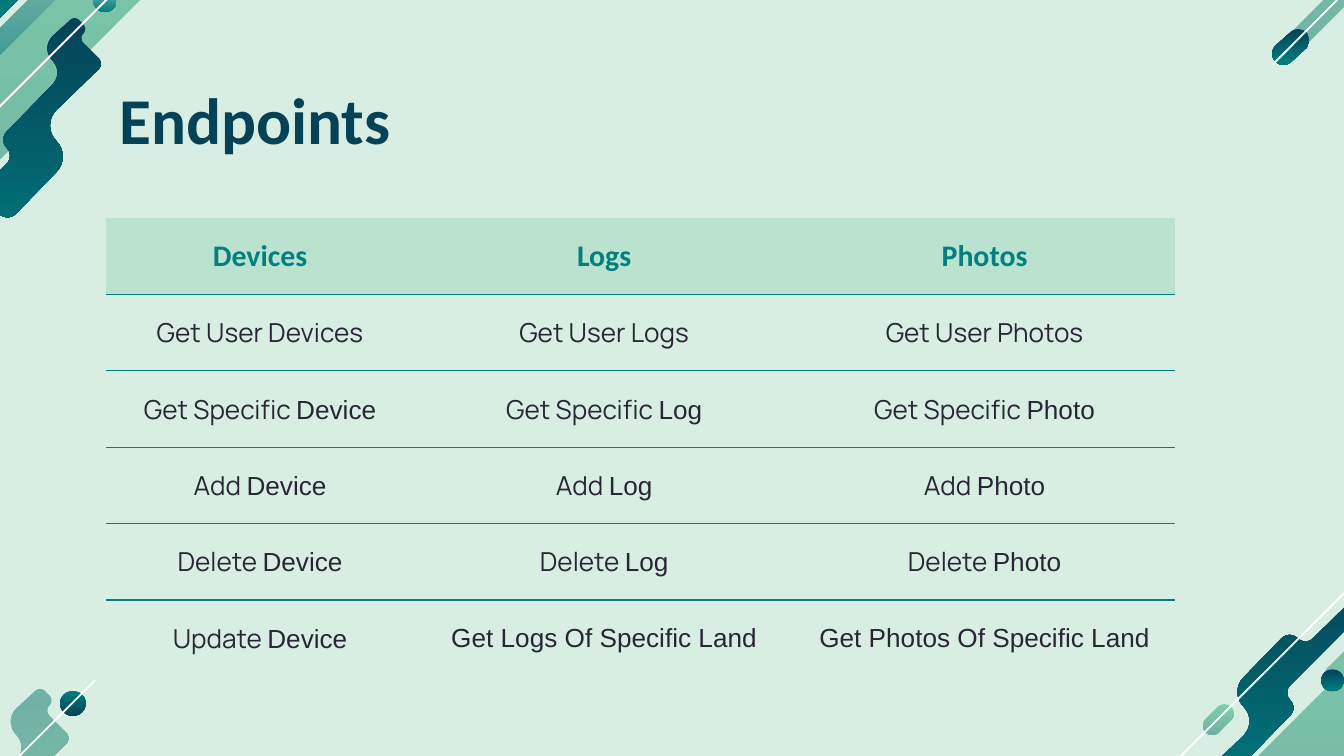
from math import cos, pi, sin

from lxml import etree
from pptx import Presentation
from pptx.dml.color import RGBColor
from pptx.enum.shapes import MSO_CONNECTOR, MSO_SHAPE
from pptx.enum.text import MSO_ANCHOR, PP_ALIGN
from pptx.oxml.ns import qn
from pptx.util import Pt

CENTER = PP_ALIGN.CENTER
MIDDLE = MSO_ANCHOR.MIDDLE
OVAL = MSO_SHAPE.OVAL
STRAIGHT = MSO_CONNECTOR.STRAIGHT

NAVY, TEAL, MINT, SAGE = "044257", "008080", "7ECFA9", "71B1A5"
WHITE, INK, HEADER, BACKDROP = "FFFFFF", "292536", "BBE2CF", "D8EEE3"
DEEP, LIGHT, DULL = (NAVY, TEAL), (MINT, SAGE), (SAGE, TEAL)

# Outlines: x, y and the edge that follows (0 straight, 1 or -1 a quarter arc)
DARK_BLOB = [
    (42.5, 10.8, -1), (37.4, 10.8, 0), (28.1, 19.4, -1), (28.1, 32.4, 1),
    (28.1, 45.4, 0), (3.6, 70.6, -1), (3.6, 79.2, 1), (3.6, 87.8, 0),
    (-58.3, 149.8, -1), (-58.3, 156.2, -1), (-51.8, 156.2, 0),
    (-9.4, 114.5, 1), (-0.7, 114.5, -1), (8.6, 114.5, 0),
    (30.2, 92.2, -1), (30.2, 75.6, 1), (30.2, 59, 0), (53.3, 36.7, -1),
    (53.3, 31.7, 0), (44.6, 23, 1), (44.6, 18, -1), (44.6, 13, 0),
]
LIGHT_BLOB = [
    (-38.9, 69.1, 1), (-38.9, 77.8, 0), (-56.9, 95.8, -1), (-56.9, 103, 1),
    (-56.9, 110.9, 0), (-74.9, 128.9, -1), (-74.9, 137.5, -1),
    (-66.2, 137.5, 0), (-37.4, 108, 1), (-30.2, 108, -1), (-23, 108, 0),
    (28.8, 56.9, -1), (28.8, 51.1, 1), (28.8, 46.1, 0), (79.9, -5, -1),
    (79.9, -12.2, 1), (79.9, -20.2, 0), (92.9, -33.1, -1), (92.9, -38.9, 1),
    (92.9, -45.4, 0), (108.7, -61.2, -1), (108.7, -69.1, -1),
    (100.1, -69.1, 0), (31, -0.7, 1), (26.6, -0.7, -1), (21.6, -0.7, 0),
    (-38.9, 60.5, -1),
]


def color(value):
    return RGBColor.from_string(value)


def quarter_arc(start, end, turn, steps=8):
    """Points of the quarter circle from start up to, not including, end."""
    (x1, y1), (x2, y2) = start, end
    center_x = (x1 + x2 - turn * (y2 - y1)) / 2
    center_y = (y1 + y2 + turn * (x2 - x1)) / 2
    dx, dy = x1 - center_x, y1 - center_y
    for step in range(steps):
        angle = turn * pi / 2 * step / steps
        yield (center_x + dx * cos(angle) - dy * sin(angle),
               center_y + dx * sin(angle) + dy * cos(angle))


class Painter:
    def __init__(self, deck):
        self.page = deck.slides.add_slide(deck.slide_layouts[6])
        self.shapes = self.page.shapes
        self.page.background.fill.solid()
        self.page.background.fill.fore_color.rgb = color(BACKDROP)

    def shade(self, shape, colors):
        shape.shadow.inherit = False
        shape.line.fill.background()
        shape.fill.gradient()
        shape.fill.gradient_angle = 270
        for stop, position, value in zip(shape.fill.gradient_stops, (0, 1), colors):
            stop.position = position
            stop.color.rgb = color(value)

    def outline(self, edges, colors, left=0, top=0, scale=1):
        points = []
        for (x, y, turn), (next_x, next_y, _) in zip(edges, edges[1:] + edges[:1]):
            if turn:
                points += quarter_arc((x, y), (next_x, next_y), turn)
            else:
                points.append((x, y))
        placed = [(Pt(left + scale * x), Pt(top + scale * y)) for x, y in points]
        builder = self.shapes.build_freeform(*placed[0])
        builder.add_line_segments(placed[1:], close=True)
        self.shade(builder.convert_to_shape(), colors)

    def bar(self, x1, y1, x2, y2, radius, colors):
        """Round-ended diagonal bar from lower left to upper right."""
        k = radius * cos(pi / 4)
        self.outline([(x1 - k, y1 - k, -1), (x1 - k, y1 + k, -1), (x1 + k, y1 + k, 0),
                      (x2 + k, y2 + k, -1), (x2 + k, y2 - k, -1), (x2 - k, y2 - k, 0)],
                     colors)

    def dot(self, left, top, width, height, colors):
        self.shade(self.shapes.add_shape(OVAL, Pt(left), Pt(top), Pt(width), Pt(height)),
                   colors)

    def line(self, x1, y1, x2, y2):
        line = self.shapes.add_connector(STRAIGHT, Pt(x1), Pt(y1), Pt(x2), Pt(y2))
        line.line.color.rgb = color(WHITE)
        line.line.width = Pt(1)
        etree.SubElement(line._element.spPr, qn("a:effectLst"))

    def span(self, para, text, font, size, ink, bold=False):
        span = para.add_run()
        span.text = text
        span.font.name, span.font.size, span.font.bold = font, Pt(size), bold
        span.font.color.rgb = color(ink)

    def title(self, text, left, top, width, height):
        box = self.shapes.add_textbox(Pt(left), Pt(top), Pt(width), Pt(height))
        frame = box.text_frame
        frame.word_wrap = True
        frame.margin_left = frame.margin_right = Pt(7.2)
        frame.margin_top = frame.margin_bottom = Pt(7.2)
        self.span(frame.paragraphs[0], text, "Calibri", 35, NAVY, True)

    def borders(self, cell, ruled):
        properties = cell._tc.get_or_add_tcPr()
        for side in ("lnL", "lnR", "lnT", "lnB"):
            edge = etree.SubElement(properties, qn("a:" + side), w=str(Pt(0.75)))
            if side in ruled:
                fill = etree.SubElement(edge, qn("a:solidFill"))
                etree.SubElement(fill, qn("a:srgbClr"), val=TEAL)
            else:
                etree.SubElement(edge, qn("a:noFill"))

    def table(self, rows, left, top, widths, row_height):
        table = self.shapes.add_table(
            len(rows), len(widths), Pt(left), Pt(top),
            Pt(sum(widths)), Pt(row_height * len(rows))).table
        table.horz_banding = False
        for column, width in zip(table.columns, widths):
            column.width = Pt(width)
        for r, row in enumerate(rows):
            table.rows[r].height = Pt(row_height)
            ruled = {"lnT"} if r else set()
            if r < len(rows) - 1:
                ruled.add("lnB")
            for c, spans in enumerate(row):
                cell = table.cell(r, c)
                self.borders(cell, ruled)
                if r == 0:
                    cell.fill.solid()
                    cell.fill.fore_color.rgb = color(HEADER)
                else:
                    cell.fill.background()
                cell.vertical_anchor = MIDDLE
                cell.margin_left = cell.margin_right = Pt(7.2)
                cell.margin_top = cell.margin_bottom = Pt(7.2)
                para = cell.text_frame.paragraphs[0]
                para.alignment = CENTER
                for text, font in spans:
                    if r == 0:
                        self.span(para, text, font, 16, TEAL, True)
                    else:
                        self.span(para, text, font, 14, INK)


def main():
    deck = Presentation()
    deck.slide_width, deck.slide_height = Pt(720), Pt(405)
    painter = Painter(deck)

    # Top right corner
    painter.bar(692.6, 23.8, 790.6, -74.2, 5, LIGHT)
    painter.bar(687.6, 28.8, 695.5, 21.6, 6, DEEP)
    painter.line(682, 34.4, 888.5, -172.5)

    # Top left corner
    painter.outline(LIGHT_BLOB, LIGHT)
    painter.bar(-4.3, 9.4, 76.3, -71.3, 3, DEEP)
    painter.bar(-59.4, 81.4, 31, -8.6, 5, DULL)
    painter.dot(49.9, -5.8, 12.6, 12.3, DULL)
    painter.outline(DARK_BLOB, DEEP)
    painter.line(-51.6, 108.5, 139.5, -82.6)

    # Bottom right corner: the same blobs, turned round and smaller
    painter.outline(LIGHT_BLOB, LIGHT, 738, 411.8, -0.94)
    painter.bar(649.5, 388.8, 655.9, 382.3, 5, LIGHT)
    painter.dot(707.8, 358.6, 12, 11.8, DEEP)
    painter.outline(DARK_BLOB, DEEP, 694.6, 449.6, -0.94)
    painter.line(593.5, 444, 758, 280)

    # Bottom left corner
    painter.dot(32.2, 370.1, 13.7, 13.4, DEEP[::-1])
    painter.outline(DARK_BLOB, LIGHT[::-1], -21.7, 358.6, 1.08)
    painter.line(-140.2, 555.6, 50.9, 364.5)

    # Title
    painter.title("Endpoints", 56.9, 35.3, 607, 45.4)

    # Endpoint table
    items = ("Device", "Log", "Photo")
    rows = [[[(item + "s", "Calibri")] for item in items],
            [[(f"Get User {item}s", "Manrope")] for item in items]]
    for action in ("Get Specific ", "Add ", "Delete ", "Update "):
        rows.append([[(action, "Manrope"), (item, "Arial")] for item in items])
    rows[-1][1:] = [[(f"Get {item}s Of Specific Land", "Arial")] for item in items[1:]]
    painter.table(rows, 56.9, 116.8, (164.9, 203.8, 203.8), 40.95)

    deck.save("out.pptx")


if __name__ == "__main__":
    main()
